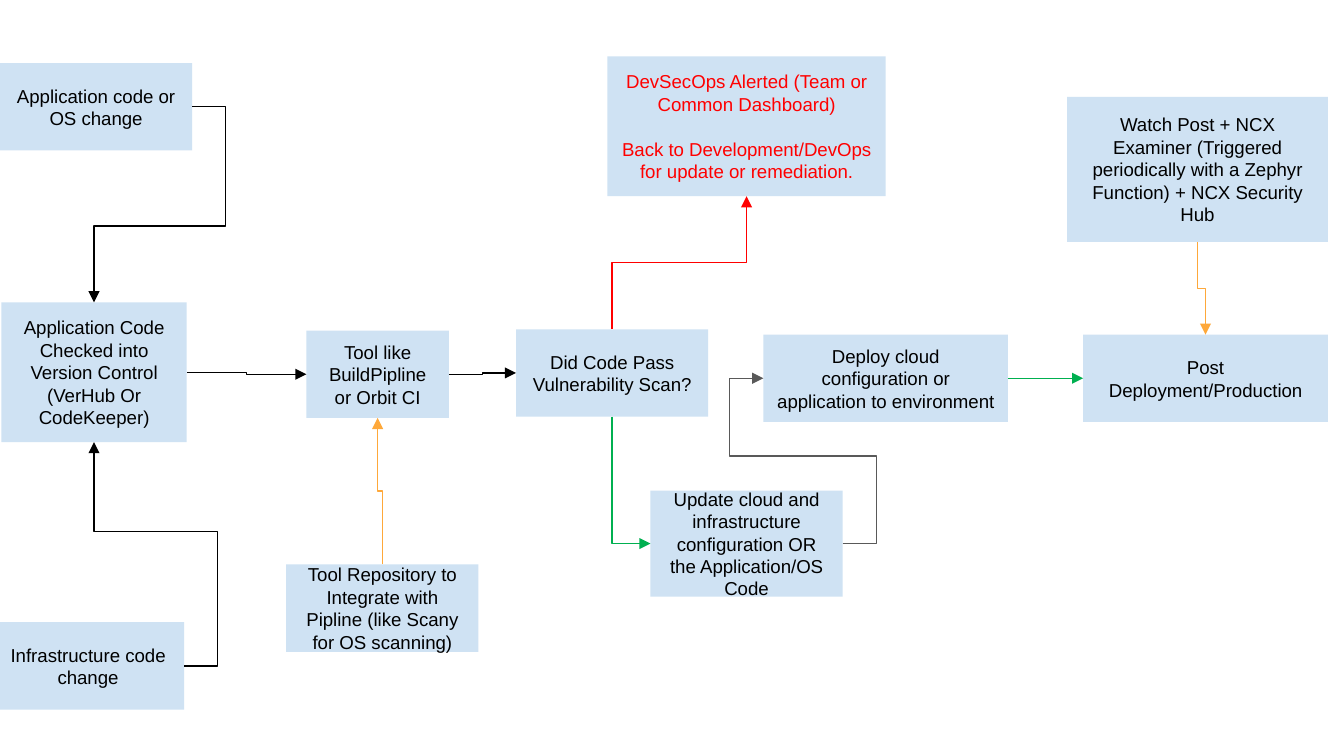
from pptx import Presentation
from pptx.dml.color import RGBColor
from pptx.enum.dml import MSO_LINE
from pptx.enum.shapes import MSO_CONNECTOR, MSO_SHAPE
from pptx.enum.text import MSO_ANCHOR, PP_ALIGN
from pptx.oxml.ns import qn
from pptx.util import Inches, Pt
from lxml import etree

RECTANGLE = MSO_SHAPE.RECTANGLE
ELBOW = MSO_CONNECTOR.ELBOW
SOLID = MSO_LINE.SOLID
MIDDLE = MSO_ANCHOR.MIDDLE
CENTER = PP_ALIGN.CENTER

SLIDE_WIDTH = Inches(10)
SLIDE_HEIGHT = SLIDE_WIDTH * 9 // 16

PALE_BLUE = RGBColor(0xCF, 0xE2, 0xF3)
BLACK = RGBColor(0x00, 0x00, 0x00)
GRAY = RGBColor(0x59, 0x59, 0x59)
RED = RGBColor(0xFF, 0x00, 0x00)
GREEN = RGBColor(0x00, 0xB0, 0x50)
ORANGE = RGBColor(0xFE, 0xA8, 0x3A)

TOP, LEFT, BOTTOM, RIGHT = range(4)  # connection sites of a rectangle

TEXT_FRAME_FORMAT = {
    "word_wrap": True,
    "vertical_anchor": MIDDLE,
    "margin_left": Inches(0.1),
    "margin_right": Inches(0.1),
    "margin_top": Inches(0.1),
    "margin_bottom": Inches(0.1),
}
FONT_FORMAT = {"name": "Arial", "size": Pt(10)}

# name: (left, top, width, height), paragraphs ("\v" is a line break), text colour
STEPS = {
    "tool repository": ((2.13, 4.2, 1.43, 0.65), [
        "Tool Repository to Integrate with Pipline (like Scany for OS scanning)"], BLACK),
    "deploy": ((5.68, 2.49, 1.82, 0.65), [
        "Deploy cloud configuration or application to environment"], BLACK),
    "update": ((4.84, 3.65, 1.43, 0.79), [
        "Update cloud and infrastructure configuration OR the Application/OS Code"], BLACK),
    "application change": ((0, 0.47, 1.43, 0.65), [
        "Application code or OS change"], BLACK),
    "infrastructure change": ((-0.06, 4.63, 1.43, 0.65), [
        "Infrastructure code change"], BLACK),
    "pipeline tool": ((2.28, 2.46, 1.06, 0.65), [
        "Tool like BuildPipline or Orbit CI"], BLACK),
    "version control": ((0.01, 2.25, 1.38, 1.04), [
        "Application Code Checked into Version Control (VerHub Or CodeKeeper)"], BLACK),
    "scan": ((3.84, 2.45, 1.43, 0.65), [
        "Did Code Pass Vulnerability Scan?"], BLACK),
    "alert": ((4.52, 0.42, 2.07, 1.04), [
        "DevSecOps Alerted (Team or Common Dashboard)\v",
        "Back to Development/DevOps for update or remediation."], RED),
    "monitoring": ((7.94, 0.72, 1.94, 1.08), [
        "Watch Post + NCX Examiner (Triggered periodically with a Zephyr "
        "Function) + NCX Security Hub"], BLACK),
    "production": ((8.06, 2.49, 1.82, 0.65), [
        "Post Deployment/Production"], BLACK),
}

# start step and site, end step and site, colour, preset, bend positions
ARROWS = [
    ("update", RIGHT, "deploy", LEFT, GRAY, "bentConnector5", [-0.43, 0.53, 1.43]),
    ("infrastructure change", RIGHT, "version control", BOTTOM, BLACK,
     "bentConnector4", [-0.37, 0.6]),
    ("application change", RIGHT, "version control", TOP, BLACK,
     "bentConnector4", [-0.34, 0.61]),
    ("version control", RIGHT, "pipeline tool", LEFT, BLACK, "bentConnector3", [0.5]),
    ("pipeline tool", RIGHT, "scan", LEFT, BLACK, "bentConnector3", [0.5]),
    ("scan", BOTTOM, "update", LEFT, GREEN, "bentConnector2", []),
    ("scan", TOP, "alert", BOTTOM, RED, "bentConnector3", [0.5]),
    ("tool repository", TOP, "pipeline tool", BOTTOM, ORANGE, "bentConnector3", [0.5]),
    ("deploy", RIGHT, "production", LEFT, GREEN, "bentConnector3", [0.5]),
    ("monitoring", BOTTOM, "production", TOP, ORANGE, "bentConnector3", [0.5]),
]


def apply_format(target, values):
    for name, value in values.items():
        setattr(target, name, value)


def add_step(slide, box, paragraphs, color):
    shape = slide.shapes.add_shape(RECTANGLE, *map(Inches, box))
    shape.shadow.inherit = False
    shape.fill.solid()
    shape.fill.fore_color.rgb = PALE_BLUE
    shape.line.fill.background()
    frame = shape.text_frame
    apply_format(frame, TEXT_FRAME_FORMAT)
    frame.text = "\n".join(paragraphs)
    for paragraph in frame.paragraphs:
        paragraph.alignment = CENTER
        # The paragraph font also sizes the line after a closing break
        for font in (paragraph.font, *(run.font for run in paragraph.runs)):
            apply_format(font, FONT_FORMAT)
            font.color.rgb = color
    for line_break in frame._txBody.iter(qn("a:br")):
        etree.SubElement(line_break, qn("a:rPr"), sz=str(FONT_FORMAT["size"].centipoints))
    return shape


def site_point(shape, site):
    across, down = {TOP: (1, 0), LEFT: (0, 1), BOTTOM: (1, 2), RIGHT: (2, 1)}[site]
    return shape.left + shape.width * across // 2, shape.top + shape.height * down // 2


def place_elbow(connector, start, end, vertical):
    """Fit the connector between two points; a vertical start turns its frame."""
    dx, dy = end[0] - start[0], end[1] - start[1]
    width, height = abs(dx), abs(dy)
    flip_h, flip_v, rotation = dx < 0, dy < 0, 0
    if vertical:
        width, height = height, width
        flip_h, flip_v, rotation = dy < 0, dx > 0, 90
        if flip_h != flip_v:
            flip_h, flip_v, rotation = not flip_h, not flip_v, 270
    apply_format(connector, {
        "left": (start[0] + end[0] - width) // 2,
        "top": (start[1] + end[1] - height) // 2,
        "width": width,
        "height": height,
    })
    transform = connector._element.spPr.find(qn("a:xfrm"))
    transform.set("rot", str(rotation * 60000))
    transform.set("flipH", str(int(flip_h)))
    transform.set("flipV", str(int(flip_v)))


def add_arrow(slide, start_shape, start_site, end_shape, end_site, color, preset, bends):
    start, end = site_point(start_shape, start_site), site_point(end_shape, end_site)
    connector = slide.shapes.add_connector(ELBOW, *start, *end)
    connector.begin_connect(start_shape, start_site)
    connector.end_connect(end_shape, end_site)
    place_elbow(connector, start, end, start_site in (TOP, BOTTOM))

    properties = connector._element.spPr
    geometry = properties.find(qn("a:prstGeom"))
    geometry.set("prst", preset)
    guides = geometry.find(qn("a:avLst"))
    for number, bend in enumerate(bends, 1):
        etree.SubElement(guides, qn("a:gd"), name=f"adj{number}",
                         fmla=f"val {round(bend * 100000)}")

    apply_format(connector.line, {"width": Pt(0.75), "dash_style": SOLID})
    connector.line.color.rgb = color
    etree.SubElement(properties.find(qn("a:ln")), qn("a:tailEnd"), type="triangle")
    etree.SubElement(properties, qn("a:effectLst"))


def add_pipeline(slide):
    steps = {name: add_step(slide, *step) for name, step in STEPS.items()}
    for start, start_site, end, end_site, *style in ARROWS:
        add_arrow(slide, steps[start], start_site, steps[end], end_site, *style)


def main():
    presentation = Presentation()
    presentation.slide_width = SLIDE_WIDTH
    presentation.slide_height = SLIDE_HEIGHT
    add_pipeline(presentation.slides.add_slide(presentation.slide_layouts[6]))
    presentation.save("out.pptx")


if __name__ == "__main__":
    main()
